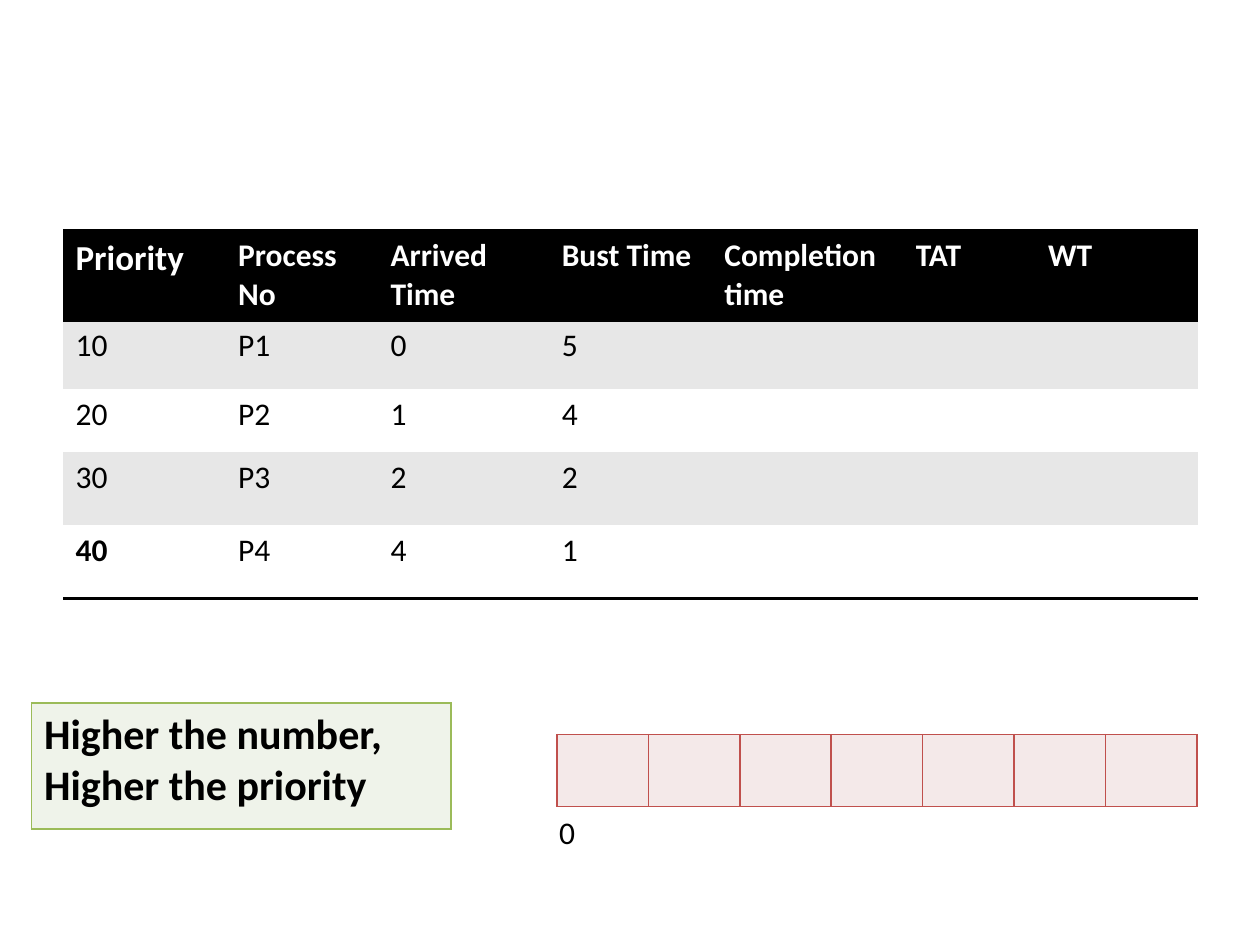
import pptx
import pptx.dml.color
import pptx.oxml
import pptx.oxml.ns
import pptx.util
from pptx.util import Inches

THEME = {
    "font": "Calibri", "body": 18, "lead": 20, "note": 24,
    "black": "000000", "white": "FFFFFF", "band": "E7E7E7",
    "green": "9BBB59", "pale_green": "EFF3EA",
    "red": "C0504D", "pale_red": "F4E9E9",
}
PLAIN_STYLE = "{2D5ABB26-0587-4C30-8999-92F81FD0307C}"

PROCESSES = [
    ["Priority", "Process No", "Arrived Time", "Bust Time", "Completion time", "TAT", "WT"],
    ["10", "P1", "0", "5", "", "", ""],
    ["20", "P2", "1", "4", "", "", ""],
    ["30", "P3", "2", "2", "", "", ""],
    ["40", "P4", "4", "1", "", "", ""],
]
PROCESS_COLS = [1.29, 1.21, 1.36, 1.29, 1.52, 1.05, 1.29]
PROCESS_ROWS = [0.71, 0.55, 0.5, 0.58, 0.58]
NOTE = "Higher the number,\nHigher the priority"
GANTT_SLOTS = 7
GANTT_WIDTH = 5.08
GANTT_START = "0"


def rgb(name):
    return pptx.dml.color.RGBColor.from_string(THEME[name])


def style_text(tf, size="body", color="black", bold=False):
    for p in tf.paragraphs:
        p.font.name = THEME["font"]
        p.font.size = pptx.util.Pt(THEME[size])
        p.font.color.rgb = rgb(color)
        p.font.bold = bold


def set_border(cell, sides, color, points):
    props = cell._tc.get_or_add_tcPr()
    for side in sides:
        props.append(pptx.oxml.parse_xml(
            f'<a:ln{side} {pptx.oxml.ns.nsdecls("a")} w="{pptx.util.Pt(points)}">'
            f'<a:solidFill><a:srgbClr val="{THEME[color]}"/></a:solidFill></a:ln{side}>'))


def fill_cell(cell, color):
    cell.fill.solid()
    cell.fill.fore_color.rgb = rgb(color)


def add_grid(s, left, top, cols, rows):
    frame = s.shapes.add_table(len(rows), len(cols), Inches(left), Inches(top),
                               Inches(sum(cols)), Inches(sum(rows)))
    table = frame.table
    table.first_row = table.horz_banding = False
    table._tbl.tblPr.find(pptx.oxml.ns.qn("a:tableStyleId")).text = PLAIN_STYLE
    for col, width in zip(table.columns, cols):
        col.width = Inches(width)
    for row, height in zip(table.rows, rows):
        row.height = Inches(height)
    return table


def add_processes(s):
    table = add_grid(s, 0.5, 1.83, PROCESS_COLS, PROCESS_ROWS)
    last = len(PROCESSES) - 1
    for i, values in enumerate(PROCESSES):
        header = i == 0
        for j, value in enumerate(values):
            cell = table.cell(i, j)
            cell.text = value
            style_text(cell.text_frame, "lead" if header and j == 0 else "body",
                       "white" if header else "black", header or (i == last and j == 0))
            set_border(cell, "TB" if header else "B" if i == last else "", "black", 2)
            fill_cell(cell, "black" if header else "band" if i % 2 else "white")


def add_note(s):
    cell = add_grid(s, 0.25, 5.58, [3.33], [1]).cell(0, 0)
    cell.text = NOTE
    style_text(cell.text_frame, "note", bold=True)
    set_border(cell, "LRTB", "green", 1)
    fill_cell(cell, "pale_green")


def add_gantt(s):
    table = add_grid(s, 4.42, 5.83, [GANTT_WIDTH / GANTT_SLOTS] * GANTT_SLOTS, [0.57])
    for cell in table.iter_cells():
        style_text(cell.text_frame)
        set_border(cell, "LRTB", "red", 1)
        fill_cell(cell, "pale_red")
    tf = s.shapes.add_textbox(Inches(4.34), Inches(6.4), Inches(0.33), Inches(0.4)).text_frame
    tf.word_wrap = False
    tf.text = GANTT_START
    style_text(tf)


def main():
    """Build the priority scheduling exercise slide."""
    prs = pptx.Presentation()
    prs.slide_width, prs.slide_height = Inches(10), Inches(7.5)
    s = prs.slides.add_slide(prs.slide_layouts[6])
    add_processes(s)
    add_note(s)
    add_gantt(s)
    prs.save("out.pptx")


if __name__ == "__main__":
    main()
